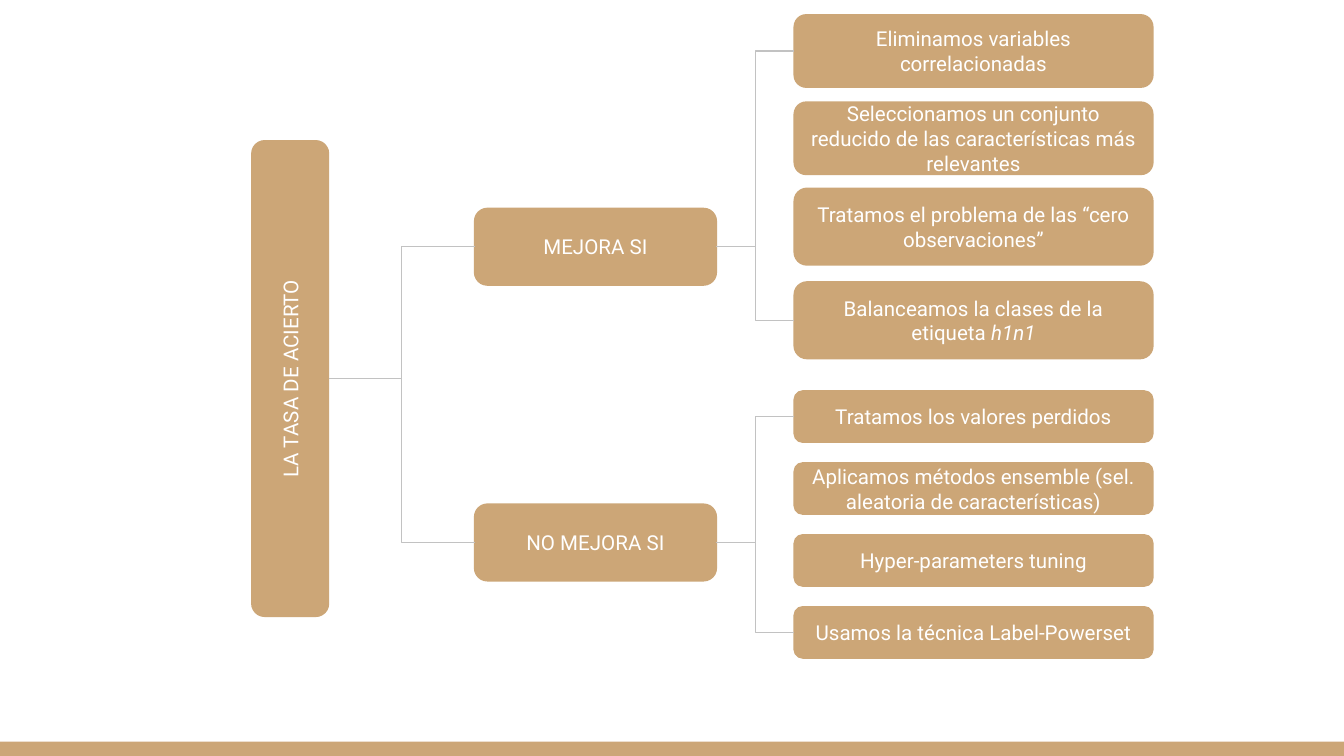
from pptx import Presentation
from pptx import util as u
from pptx.dml.color import RGBColor
from pptx.enum import shapes, text
from pptx.oxml.ns import qn
from lxml import etree

LEFT, RIGHT = 1, 3  # connection sites of a rounded rectangle


def color(value):
    return RGBColor.from_string(value)


class TreeSlide:
    font, size = "Roboto", 11
    tan, gray, white = "CCA677", "C2C2C2", "FFFFFF"

    def __init__(self, prs):
        self.width, self.height = prs.slide_width, prs.slide_height
        self.s = prs.slides.add_slide(prs.slide_layouts[6])
        self.s.background.fill.solid()
        self.s.background.fill.fore_color.rgb = color(self.white)

    def shape(self, kind, x, y, w, h):
        sp = self.s.shapes.add_shape(kind, u.Cm(x), u.Cm(y), u.Cm(w), u.Cm(h))
        sp.shadow.inherit = False
        sp.fill.solid()
        sp.fill.fore_color.rgb = color(self.tan)
        return sp

    def band(self, y, h):
        sp = self.shape(shapes.MSO_SHAPE.RECTANGLE, 0, y, self.width.cm, h)
        sp.line.fill.background()

    def box(self, x, y, w, h, *runs, rotation=0):
        """Rounded box; each run is (words, italic)."""
        sp = self.shape(shapes.MSO_SHAPE.ROUNDED_RECTANGLE, x, y, w, h)
        sp.rotation = rotation
        sp.line.color.rgb = color(self.tan)
        sp.line.width = u.Pt(0.75)
        tf = sp.text_frame
        tf.word_wrap = True
        tf.vertical_anchor = text.MSO_ANCHOR.MIDDLE
        tf.margin_left = tf.margin_right = u.Cm(0.25)
        tf.margin_top = tf.margin_bottom = u.Cm(0.25)
        p = tf.paragraphs[0]
        p.alignment = text.PP_ALIGN.CENTER
        for words, italic in runs:
            r = p.add_run()
            r.text = words
            r.font.name, r.font.size = self.font, u.Pt(self.size)
            r.font.color.rgb = color(self.white)
            if italic:
                r.font.italic = True
        return sp

    def elbow(self, parent, child):
        # A quarter turn swaps the drawn width and height of the parent
        turned = parent.rotation == 270
        half = (parent.height if turned else parent.width) // 2
        x = parent.left + parent.width // 2 + half
        y = parent.top + parent.height // 2
        cn = self.s.shapes.add_connector(
            shapes.MSO_CONNECTOR.ELBOW, x, y,
            child.left, child.top + child.height // 2)
        if not turned:
            cn.begin_connect(parent, RIGHT)
        cn.end_connect(child, LEFT)
        cn.line.color.rgb = color(self.gray)
        cn.line.width = u.Pt(0.75)
        etree.SubElement(cn._element.spPr, qn("a:effectLst"))


def main():
    prs = Presentation()
    prs.slide_width, prs.slide_height = u.Cm(25.4), u.Cm(14.29)
    tree = TreeSlide(prs)

    # Bottom band
    tree.band(14.02, 0.27)

    # Root, turned to read upwards
    root = tree.box(0.99, 6.43, 8.99, 1.45, ("LA TASA DE ACIERTO", False),
                    rotation=270)

    # Branches: label, top, and leaves as (top, height, runs)
    improves = [
        (0.28, 1.37, [("Eliminamos variables correlacionadas", False)]),
        (1.93, 1.37, [("Seleccionamos un conjunto reducido de las "
                       "características más relevantes", False)]),
        (3.56, 1.45, [("Tratamos el problema de las “cero observaciones”",
                       False)]),
        (5.33, 1.45, [("Balanceamos la clases de la etiqueta ", False),
                      ("h1n1", True)]),
    ]
    no_change = [
        (7.39 + 1.36 * i, 0.97, [(words, False)])
        for i, words in enumerate([
            "Tratamos los valores perdidos",
            "Aplicamos métodos ensemble (sel. aleatoria de características)",
            "Hyper-parameters tuning",
            "Usamos la técnica Label-Powerset",
        ])
    ]
    for label, top, leaves in [("MEJORA SI", 3.94, improves),
                               ("NO MEJORA SI", 9.53, no_change)]:
        branch = tree.box(8.97, top, 4.57, 1.45, (label, False))
        tree.elbow(root, branch)
        boxes = [tree.box(15.01, y, 6.78, h, *runs) for y, h, runs in leaves]
        # Only the outer leaves are joined to the branch
        for leaf in (boxes[0], boxes[-1]):
            tree.elbow(branch, leaf)

    prs.save("out.pptx")


if __name__ == "__main__":
    main()
